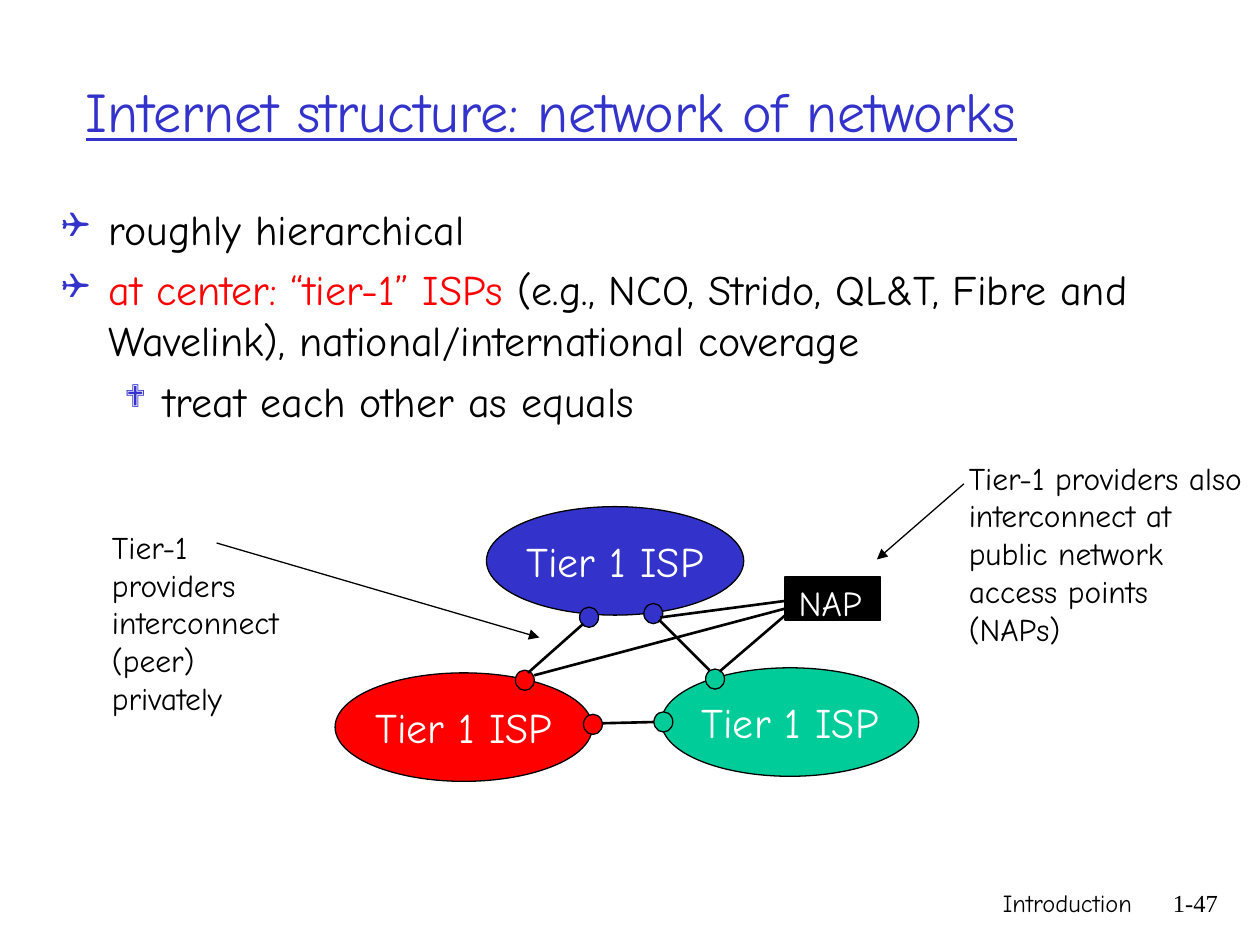
from lxml import etree
from pptx import Presentation
from pptx.dml.color import RGBColor
from pptx.enum import shapes as sh, text as tx
from pptx.oxml import ns
from pptx.util import Pt

BLACK = RGBColor(0x00, 0x00, 0x00)
WHITE = RGBColor(0xFF, 0xFF, 0xFF)
BLUE = RGBColor(0x33, 0x33, 0xCC)
RED = RGBColor(0xFF, 0x00, 0x00)
GREEN = RGBColor(0x00, 0xCC, 0x99)
COMIC = "Comic Neue"
ROMAN = "Times New Roman"
ISP_W, ISP_H = 147, 62
DOT_W, DOT_H = 10.8, 11.5


def style(font, size, color, face=COMIC):
    font.size = Pt(size)
    font.name = face
    font.color.rgb = color


def add_text(slide, box, words, size, color=BLACK, face=COMIC,
             align=tx.PP_ALIGN.LEFT, wrap=True):
    frame = slide.shapes.add_textbox(*map(Pt, box)).text_frame
    frame.word_wrap = wrap
    para = frame.paragraphs[0]
    para.text = words
    para.alignment = align
    style(para.runs[0].font, size, color, face)
    return frame


def add_title(slide, words):
    frame = add_text(slide, (42, 18, 637, 90), words, 32, BLUE)
    frame.vertical_anchor = tx.MSO_ANCHOR.MIDDLE
    frame.paragraphs[0].runs[0].font.underline = True


def set_bullet(para, mark, scale, left, hang):
    props = para._p.get_or_add_pPr()
    props.set("marL", str(Pt(left)))
    props.set("indent", str(-Pt(hang)))
    color = etree.SubElement(props, ns.qn("a:buClr"))
    etree.SubElement(color, ns.qn("a:srgbClr"), val=str(BLUE))
    etree.SubElement(props, ns.qn("a:buSzPct"), val=str(scale * 1000))
    etree.SubElement(props, ns.qn("a:buFont"), typeface="Wingdings")
    etree.SubElement(props, ns.qn("a:buChar"), char=mark)


def add_body(slide, items):
    frame = slide.shapes.add_textbox(*map(Pt, (28, 112.5, 664.5, 366))).text_frame
    frame.word_wrap = True
    for i, (level, parts) in enumerate(items):
        para = frame.paragraphs[0] if i == 0 else frame.add_paragraph()
        para.level = level
        if level:
            set_bullet(para, "❖", 75, 58.5, 22.5)
        else:
            set_bullet(para, "❑", 85, 27, 27)
        para.space_before = Pt(6 if i else 0)
        for words, color in parts:
            run = para.add_run()
            run.text = words
            style(run.font, 24, color)


def add_shape(slide, kind, box, color):
    shape = slide.shapes.add_shape(kind, *map(Pt, box))
    shape.shadow.inherit = False
    shape.fill.solid()
    shape.fill.fore_color.rgb = color
    shape.line.color.rgb = BLACK
    shape.line.width = Pt(0.75)
    return shape


def add_isp(slide, left, top, color):
    shape = add_shape(slide, sh.MSO_SHAPE.OVAL, (left, top, ISP_W, ISP_H), color)
    frame = shape.text_frame
    frame.word_wrap = False
    frame.vertical_anchor = tx.MSO_ANCHOR.MIDDLE
    para = frame.paragraphs[0]
    para.text = "Tier 1 ISP"
    para.alignment = tx.PP_ALIGN.CENTER
    style(para.runs[0].font, 24, WHITE)


def add_line(slide, ends, width=1.5, arrow=False):
    line = slide.shapes.add_connector(sh.MSO_CONNECTOR.STRAIGHT, *map(Pt, ends))
    line.line.color.rgb = BLACK
    line.line.width = Pt(width)
    if arrow:
        etree.SubElement(line.line._get_or_add_ln(), ns.qn("a:tailEnd"), type="triangle")
    etree.SubElement(line._element.spPr, ns.qn("a:effectLst"))


def add_nap(slide):
    add_shape(slide, sh.MSO_SHAPE.RECTANGLE, (448.6, 329.8, 54.7, 24.5), BLACK)
    add_text(slide, (449.3, 329, 50.4, 31.7), "NAP", 20, WHITE, wrap=False)


def main():
    deck = Presentation()
    deck.slide_width, deck.slide_height = Pt(720), Pt(540)
    slide = deck.slides.add_slide(deck.slide_layouts[6])

    right = tx.PP_ALIGN.RIGHT
    add_text(slide, (426, 504, 228, 36), "Introduction", 14, align=right)
    add_text(slide, (654, 504, 49, 36), "1-47", 14, face=ROMAN, align=right)
    add_title(slide, "Internet structure: network of networks")
    add_body(slide, [
        (0, [("roughly hierarchical", BLACK)]),
        (0, [("at center: “tier-1” ISPs ", RED),
             ("(e.g., NCO, Strido, QL&T, Fibre and Wavelink), "
              "national/international coverage", BLACK)]),
        (1, [("treat each other as equals", BLACK)]),
    ])

    for left, top, color in [(191.5, 384.5, RED), (278, 289.5, BLUE),
                             (378, 381.6, GREEN)]:
        add_isp(slide, left, top, color)
    for left, top, color in [(403.2, 382.3, GREEN), (367.9, 344.9, BLUE),
                             (331.2, 347, BLUE), (294.5, 383, RED),
                             (333.4, 408.2, RED), (373.7, 406.8, GREEN)]:
        add_shape(slide, sh.MSO_SHAPE.OVAL, (left, top, DOT_W, DOT_H), color)

    add_nap(slide)
    for ends in [(344.2, 413.3, 373.7, 412.6), (376.6, 354.2, 405.4, 383),
                 (301.7, 384.5, 333.4, 356.4), (450.7, 349.9, 411.1, 383.8),
                 (448.6, 343.4, 377.3, 352.8), (448.6, 347.8, 305.3, 385.9)]:
        add_line(slide, ends)

    add_text(slide, (56.9, 298, 123, 115),
             "Tier-1 providers interconnect (peer) privately", 18)
    add_text(slide, (546.5, 258.5, 173.5, 115),
             "Tier-1 providers also interconnect at public network "
             "access points (NAPs)", 18)
    for ends in [(123.8, 310.3, 308.2, 364.3), (550.8, 276.5, 501.1, 319.7)]:
        add_line(slide, ends, 0.75, arrow=True)

    deck.save("out.pptx")


if __name__ == "__main__":
    main()
